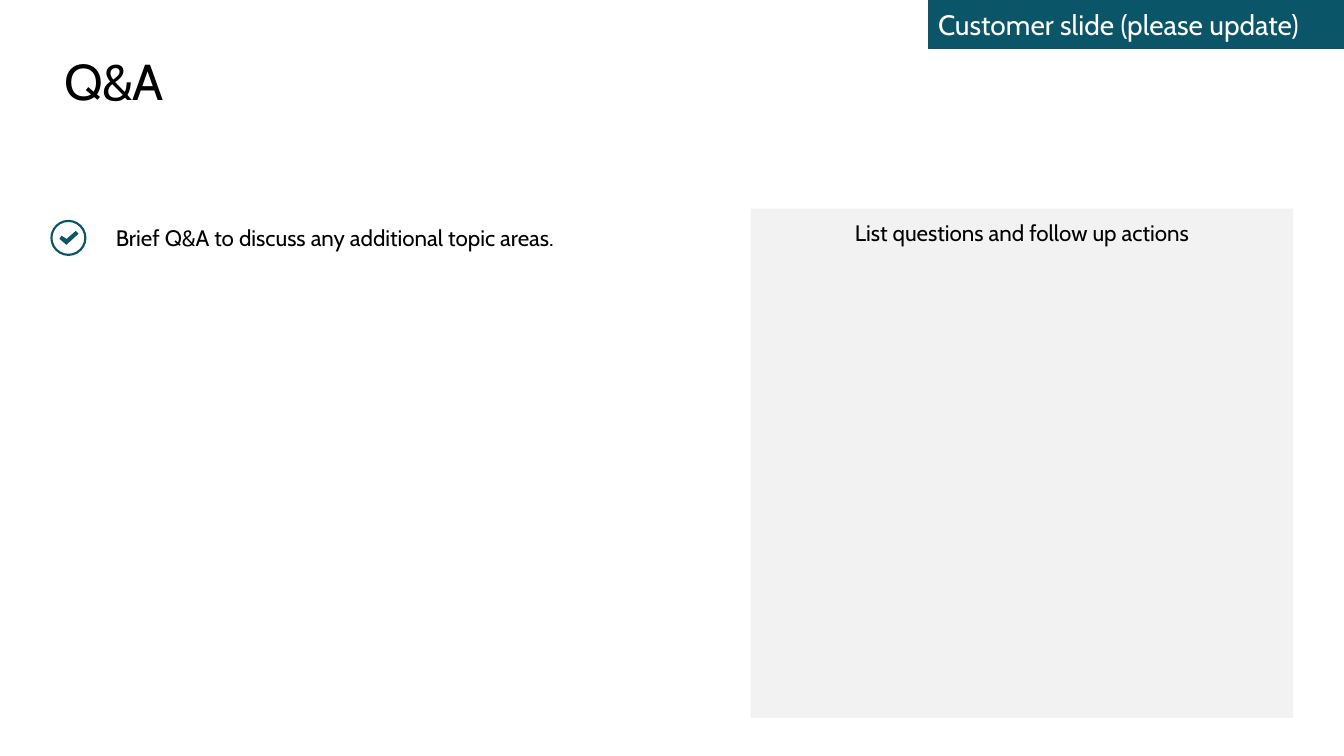
from pptx import Presentation
from pptx.dml.color import RGBColor
from pptx.enum.shapes import MSO_SHAPE as Preset
from pptx.enum.text import MSO_ANCHOR as Anchor, MSO_AUTO_SIZE as AutoSize, PP_ALIGN as Align
from pptx.util import Cm, Pt

COLOURS = {"teal": "0B5569", "panel": "F2F2F2", "black": "000000", "white": "FFFFFF"}


def colour(name):
    return RGBColor.from_string(COLOURS[name])


class SlideBuilder:
    font_name = "Cabin"

    def __init__(self, slide):
        self.slide = slide

    def fill_text(self, shape, text, size, ink="black", align=Align.LEFT,
                  anchor=Anchor.TOP, insets=(0.25, 0.13, 0.25, 0.13)):
        frame = shape.text_frame
        frame.word_wrap = True
        frame.vertical_anchor = anchor
        (frame.margin_left, frame.margin_top,
         frame.margin_right, frame.margin_bottom) = map(Cm, insets)
        paragraph = frame.paragraphs[0]
        paragraph.alignment = align
        run = paragraph.add_run()
        run.text = text
        run.font.name = self.font_name
        run.font.size = Pt(size)
        run.font.color.rgb = colour(ink)
        return run

    def paint(self, shape, fill, line_width=0):
        shape.shadow.inherit = False
        shape.fill.solid()
        shape.fill.fore_color.rgb = colour(fill)
        if line_width:
            shape.line.color.rgb = colour(fill)
            shape.line.width = Pt(line_width)
        else:
            shape.line.fill.background()

    def title(self, text, place):
        heading = self.slide.shapes.title
        heading.left, heading.top, heading.width, heading.height = map(Cm, place)
        run = self.fill_text(heading, text, 36, insets=(0, 0, 0, 0))
        run.font._element.set("spc", "-50")
        heading.text_frame.auto_size = AutoSize.SHAPE_TO_FIT_TEXT

    def text(self, text, place, **style):
        self.fill_text(self.slide.shapes.add_textbox(*map(Cm, place)), text, **style)

    def box(self, text, place, fill, line_width=0, **style):
        box = self.slide.shapes.add_shape(Preset.RECTANGLE, *map(Cm, place))
        self.paint(box, fill, line_width)
        self.fill_text(box, text, **style)

    def check_icon(self, left, top, size):
        icon = self.slide.shapes.add_group_shape().shapes
        ring = icon.add_shape(Preset.DONUT, Cm(left), Cm(top), Cm(size), Cm(size))
        ring.adjustments[0] = 0.06
        self.paint(ring, "teal")
        # Tick outline in hundredths of a centimetre from the ring's corner
        outline = [(64, 28), (41, 48), (28, 40), (23, 48), (38, 61),
                   (41, 63), (46, 58), (71, 35)]
        start, *rest = [(left * 100 + x, top * 100 + y) for x, y in outline]
        tick = icon.build_freeform(*start, scale=Cm(0.01))
        tick.add_line_segments(rest, close=True)
        self.paint(tick.convert_to_shape(), "teal")


def main():
    deck = Presentation()
    deck.slide_width, deck.slide_height = Cm(33.87), Cm(19.05)
    page = SlideBuilder(deck.slides.add_slide(deck.slide_layouts[5]))

    # Heading
    page.title("Q&A", (1.63, 1.27, 30.61, 1.55))

    # Agenda point with its check mark
    page.text("Brief Q&A to discuss any additional topic areas.",
              (1.4, 5.26, 17.15, 1.45), size=16, anchor=Anchor.MIDDLE,
              insets=(1.52, 0.13, 0.25, 0.13))
    page.check_icon(1.27, 5.54, 0.91)

    # Panel for notes
    page.box("List questions and follow up actions", (18.92, 5.26, 13.67, 12.83),
             "panel", size=16, align=Align.CENTER, insets=(0.25, 0.25, 0.25, 0.13))

    # Corner tag
    page.box("Customer slide (please update)", (23.39, 0, 10.48, 1.22), "teal",
             line_width=0.25, size=20, ink="white", anchor=Anchor.MIDDLE)

    deck.save("out.pptx")


if __name__ == "__main__":
    main()
